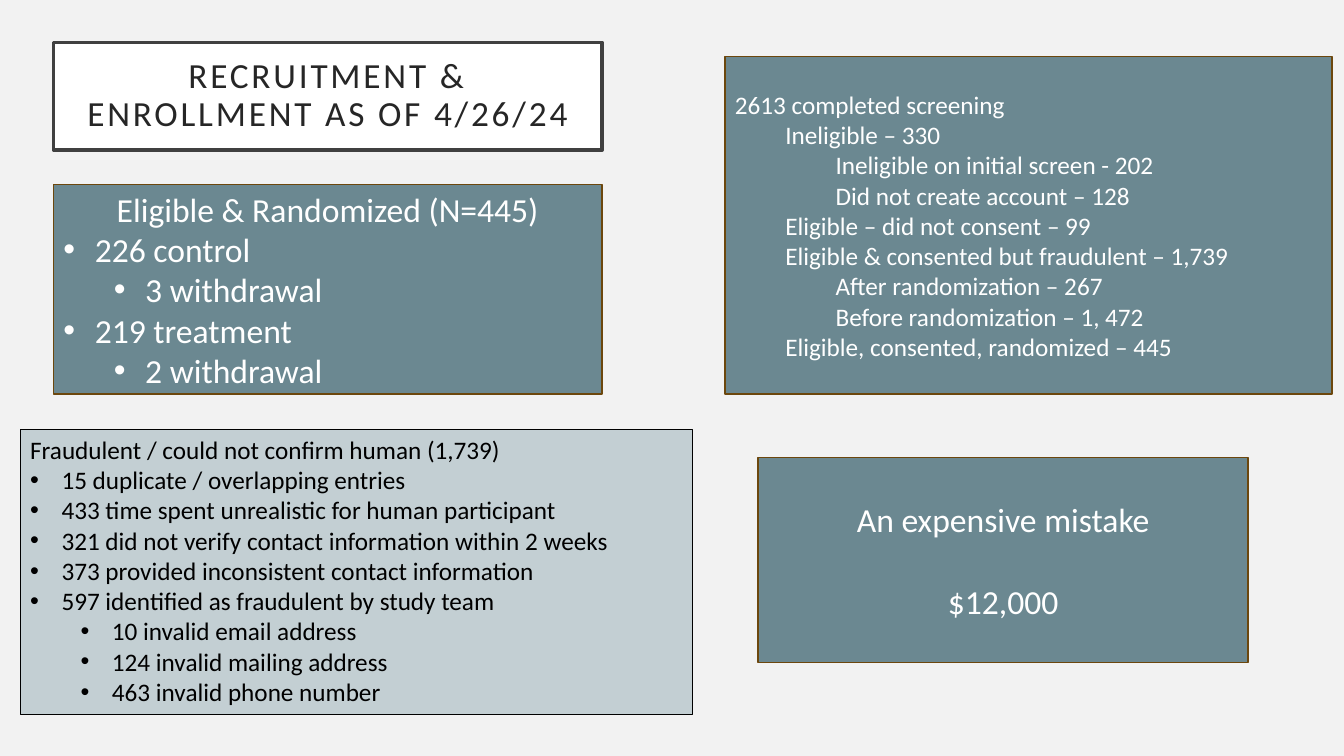
from dataclasses import dataclass

from lxml import etree
from pptx import Presentation
from pptx.dml.color import RGBColor
from pptx.enum.shapes import MSO_SHAPE
from pptx.enum.text import MSO_ANCHOR, PP_ALIGN
from pptx.oxml.ns import qn
from pptx.slide import Slide
from pptx.text.text import TextFrame
from pptx.util import Inches, Pt

RECT = MSO_SHAPE.RECTANGLE
TOP, MIDDLE = MSO_ANCHOR.TOP, MSO_ANCHOR.MIDDLE
LEFT, CENTER = PP_ALIGN.LEFT, PP_ALIGN.CENTER
SLIDE_W, SLIDE_H = Inches(13.33), Inches(7.5)
COL, ROW = SLIDE_W / 100, SLIDE_H / 100
LEVEL_COLS, BULLET_COLS, TITLE_INSET_COLS = 3.75, 2.34, 1.5


@dataclass(frozen=True)
class Theme:
    font: str = "Calibri"
    background: str = "F2F2F2"
    white: str = "FFFFFF"
    black: str = "000000"
    title_text: str = "262626"
    title_line: str = "404040"
    teal: str = "6B8891"
    brown: str = "6C470D"
    pale: str = "C3CFD3"
    title_size: float = 25.2
    large_size: float = 24
    body_size: float = 18


@dataclass(frozen=True)
class Style:
    fill: str
    line: str
    line_width: float
    color: str
    size: float
    anchor: MSO_ANCHOR = MIDDLE


@dataclass(frozen=True)
class Line:
    text: str
    level: int = 0
    bullet: bool = False
    align: PP_ALIGN = LEFT
    before: float = 0
    spacing: float = 1
    tracking: int = 0


@dataclass(frozen=True)
class Panel:
    col: float
    row: float
    cols: float
    rows: float
    style: Style
    lines: tuple[Line, ...]
    inset_cols: float | None = None


THEME = Theme()
TITLE = Style(THEME.white, THEME.title_line, 2.5, THEME.title_text, THEME.title_size)
TEAL_LARGE = Style(THEME.teal, THEME.brown, 1, THEME.white, THEME.large_size)
TEAL_BODY = Style(THEME.teal, THEME.brown, 1, THEME.white, THEME.body_size)
PALE = Style(THEME.pale, THEME.black, 0.75, THEME.black, THEME.body_size, TOP)

PANELS = (
    Panel(3.98, 5.6, 40.81, 14.27, TITLE, (
        Line("RECRUITMENT & ENROLLMENT AS OF 4/26/24", align=CENTER, spacing=0.9, tracking=200),
    ), TITLE_INSET_COLS),
    Panel(53.94, 7.47, 45.16, 44.67, TEAL_BODY, (
        Line("2613 completed screening"),
        Line("Ineligible – 330", 1),
        Line("Ineligible on initial screen - 202", 2),
        Line("Did not create account – 128", 2),
        Line("Eligible – did not consent – 99", 1),
        Line("Eligible & consented but fraudulent – 1,739", 1),
        Line("After randomization – 267", 2),
        Line("Before randomization – 1, 472", 2),
        Line("Eligible, consented, randomized – 445", 1),
    )),
    Panel(3.98, 24.4, 40.81, 27.73, TEAL_LARGE, (
        Line("Eligible & Randomized (N=445)", align=CENTER),
        Line("226 control", 0, True),
        Line("3 withdrawal", 1, True),
        Line("219 treatment", 0, True),
        Line("2 withdrawal", 1, True),
    )),
    Panel(1.5, 56.8, 50.04, 37.73, PALE, (
        Line("Fraudulent / could not confirm human (1,739)"),
        Line("15 duplicate / overlapping entries", 0, True),
        Line("433 time spent unrealistic for human participant", 0, True),
        Line("321 did not verify contact information within 2 weeks", 0, True),
        Line("373 provided inconsistent contact information", 0, True),
        Line("597 identified as fraudulent by study team", 0, True),
        Line("10 invalid email address", 1, True),
        Line("124 invalid mailing address", 1, True),
        Line("463 invalid phone number", 1, True),
    )),
    Panel(56.41, 60.53, 36.46, 27.07, TEAL_LARGE, (
        Line("An expensive mistake", align=CENTER),
        Line("$12,000", align=CENTER, before=29.3),
    )),
)


def rgb(value: str) -> RGBColor:
    return RGBColor.from_string(value)


def write_line(tf: TextFrame, index: int, line: Line, style: Style) -> None:
    p = tf.add_paragraph() if index else tf.paragraphs[0]
    p.alignment = line.align
    p.line_spacing = line.spacing
    p.space_before = Pt(line.before)
    p.level = line.level
    hang = BULLET_COLS if line.bullet else 0
    p_pr = p._p.get_or_add_pPr()
    p_pr.set("marL", str(round((line.level * LEVEL_COLS + hang) * COL)))
    p_pr.set("indent", str(round(-hang * COL)))
    if line.bullet:
        etree.SubElement(p_pr, qn("a:buFont")).set("typeface", "Arial")
        etree.SubElement(p_pr, qn("a:buChar")).set("char", "•")
    p.font.name = THEME.font
    p.font.size = Pt(style.size)
    p.font.color.rgb = rgb(style.color)
    r = p.add_run()
    r.text = line.text
    if line.tracking:
        r._r.get_or_add_rPr().set("spc", str(line.tracking))


def draw_panel(s: Slide, panel: Panel) -> None:
    style = panel.style
    sp = s.shapes.add_shape(
        RECT,
        round(panel.col * COL),
        round(panel.row * ROW),
        round(panel.cols * COL),
        round(panel.rows * ROW),
    )
    sp.shadow.inherit = False
    sp.fill.solid()
    sp.fill.fore_color.rgb = rgb(style.fill)
    sp.line.color.rgb = rgb(style.line)
    sp.line.width = Pt(style.line_width)
    tf = sp.text_frame
    tf.word_wrap = True
    tf.vertical_anchor = style.anchor
    if panel.inset_cols is not None:
        inset = round(panel.inset_cols * COL)
        tf.margin_left = tf.margin_right = inset
        tf.margin_top = tf.margin_bottom = inset
    for index, line in enumerate(panel.lines):
        write_line(tf, index, line, style)


def main() -> None:
    prs = Presentation()
    prs.slide_width, prs.slide_height = SLIDE_W, SLIDE_H
    s = prs.slides.add_slide(prs.slide_layouts[6])
    s.background.fill.solid()
    s.background.fill.fore_color.rgb = rgb(THEME.background)
    for panel in PANELS:
        draw_panel(s, panel)
    prs.save("out.pptx")


if __name__ == "__main__":
    main()
